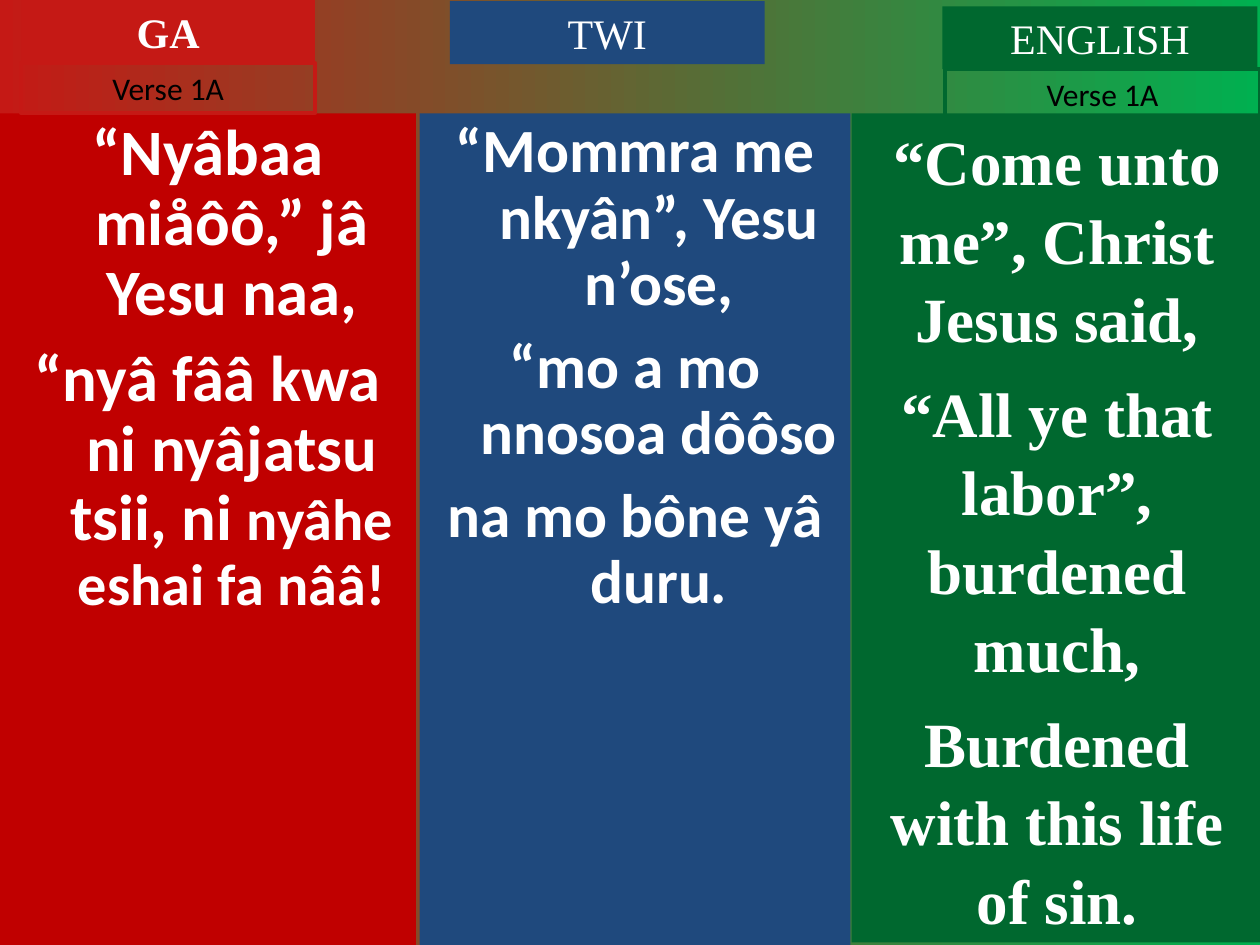
from pptx import Presentation, util as u
from pptx.dml.color import RGBColor
from pptx.enum import text
from pptx.oxml.xmlchemy import OxmlElement

theme = {
    "red": "C00000", "bright_red": "C51915", "blue": "1F497D",
    "green": "00682F", "bright_green": "00B050",
    "white": "FFFFFF", "black": "000000",
    "sans": "Calibri", "serif": "Times New Roman",
    "heading": 24, "verse": 18,
    "ga": 37, "ga_end": 33.3, "twi": 35.1, "english": 36,
}

deck = Presentation()
deck.slide_width, deck.slide_height = u.Inches(10), u.Inches(7.5)
col, row = deck.slide_width / 100, deck.slide_height / 75
hymn = deck.slides.add_slide(deck.slide_layouts[3])
ga_heading, ga_lyrics, twi_lyrics = hymn.placeholders

backdrop = hymn.background.fill
backdrop.gradient()
backdrop.gradient_angle = 0
for stop, shade in zip(backdrop.gradient_stops, ("bright_red", "bright_green")):
    stop.color.rgb = RGBColor.from_string(theme[shade])


def place(panel, cells, fill=None, line=None):
    left, top, width, height = cells
    panel = panel or hymn.shapes.add_textbox(0, 0, 0, 0)
    box = {"left": left * col, "top": top * row, "width": width * col, "height": height * row}
    for name, value in box.items():
        setattr(panel, name, round(value))
    if fill:
        panel.fill.solid()
        panel.fill.fore_color.rgb = RGBColor.from_string(theme[fill])
    if line:
        panel.line.color.rgb = RGBColor.from_string(theme[line])
        panel.line.width = u.Pt(2.25)
    frame = {"word_wrap": True, "auto_size": text.MSO_AUTO_SIZE.NONE,
             "vertical_anchor": text.MSO_ANCHOR.TOP}
    for name, value in frame.items():
        setattr(panel.text_frame, name, value)
    return panel.text_frame


def write(frame, lines, face, size, ink="white", bold=True, gap=0, spacing=1.0, hanging=0):
    for number, line in enumerate(lines):
        paragraph = frame.paragraphs[0] if number == 0 else frame.add_paragraph()
        props = paragraph._p.get_or_add_pPr()
        props.set("marL", str(u.Inches(hanging)))
        props.set("indent", str(-u.Inches(hanging)))
        props.append(OxmlElement("a:buNone"))
        layout = {"alignment": text.PP_ALIGN.CENTER, "line_spacing": spacing,
                  "space_before": u.Pt(gap if number else 0)}
        for name, value in layout.items():
            setattr(paragraph, name, value)
        for words, points in line:
            run = paragraph.add_run()
            run.text = words
            style = {"name": theme[face], "size": u.Pt(theme[points or size]), "bold": bold}
            for name, value in style.items():
                setattr(run.font, name, value)
            run.font.color.rgb = RGBColor.from_string(theme[ink])


lyrics = [
    (ga_lyrics, (0, 9, 33, 66), "red", "sans", "ga", 9, 0.9, 0.38, [
        [("“Nyâbaa miåôô,” jâ Yesu naa,", None)],
        [("“nyâ fââ kwa ni nyâjatsu tsii, ni ", None), ("nyâhe eshai fa nââ!", "ga_end")]]),
    (twi_lyrics, (33.3, 9, 34.2, 66), "blue", "sans", "twi", 9.5, 0.9, 0.38, [
        [("“Mommra me nkyân”, Yesu n’ose,", None)],
        [("“mo a mo nnosoa dôôso", None)],
        [("na mo bône yâ duru.", None)]]),
    (None, (67.6, 9, 32.6, 65.8), "green", "serif", "english", 9, 1.04, 0, [
        [("“Come unto me”, Christ Jesus said,", None)],
        [("“All ye that labor”, burdened much,", None)],
        [("Burdened with this life of sin.", None)]]),
]
for panel, cells, fill, face, size, gap, spacing, hanging, lines in lyrics:
    write(place(panel, cells, fill), lines, face, size,
          gap=gap, spacing=spacing, hanging=hanging)

headings = [
    ("GA", ga_heading, (1.7, 0, 23.3, 5), "bright_red", True),
    ("TWI", None, (35.7, 0.1, 25, 5), "blue", False),
    ("ENGLISH", None, (74.8, 0.5, 25, 5), "green", False),
]
for language, panel, cells, fill, bold in headings:
    write(place(panel, cells, fill), [[(language, None)]], "serif", "heading", bold=bold)

verses = [((1.7, 5, 23.3, 4), "bright_red"), ((75, 5.5, 25, 4), "green")]
for cells, line in verses:
    write(place(None, cells, line=line), [[("Verse 1A", None)]],
          "sans", "verse", ink="black", bold=False)

deck.save("out.pptx")
